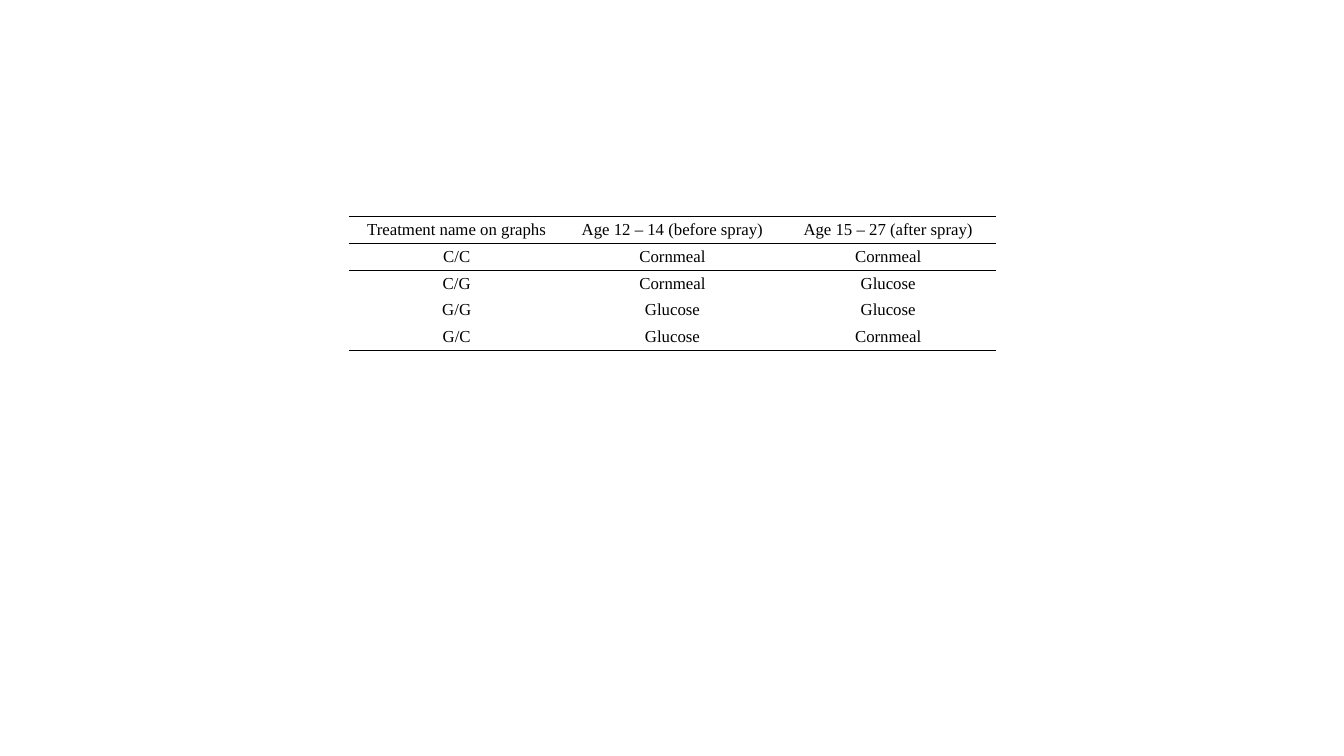
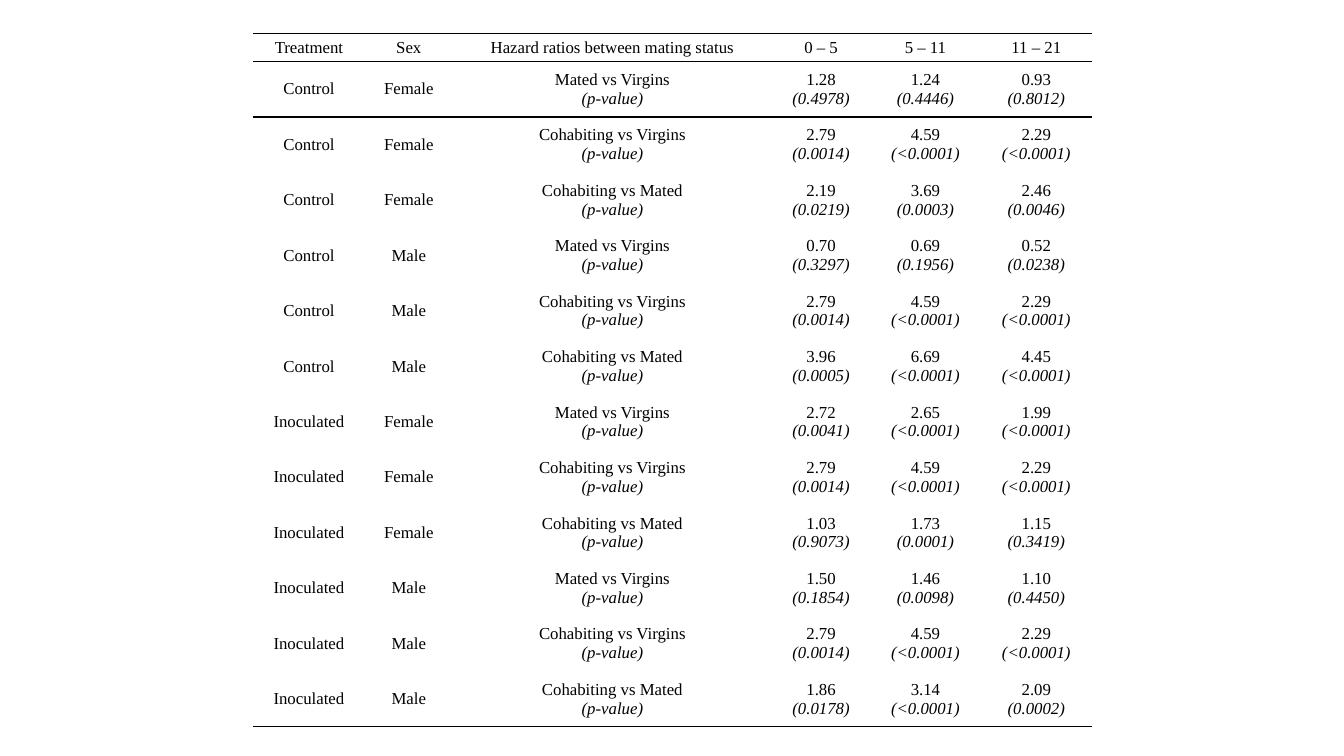
from lxml import etree
from pptx import Presentation
from pptx.dml.color import RGBColor
from pptx.enum import text
from pptx.oxml import ns
from pptx.util import Inches, Pt

COLORS = {"ink": "000000"}
FONT = "Times New Roman"
TEXT_SIZE = Pt(12)
RULE_WIDTH = Pt(1)
NO_STYLE = "{2D5ABB26-0587-4C30-8999-92F81FD0307C}"

DIETS = [
    ("Treatment name on graphs", "Age 12 – 14 (before spray)", "Age 15 – 27 (after spray)"),
    ("C/C", "Cornmeal", "Cornmeal"),
    ("C/G", "Cornmeal", "Glucose"),
    ("G/G", "Glucose", "Glucose"),
    ("G/C", "Glucose", "Cornmeal"),
]

HAZARD_HEADER = ("Treatment", "Sex", "Hazard ratios between mating status",
                 "0 – 5", "5 – 11", "11 – 21")
COMPARISONS = ("Mated vs Virgins", "Cohabiting vs Virgins", "Cohabiting vs Mated")
HAZARDS = {
    ("Control", "Female"): [
        [("1.28", "0.4978"), ("1.24", "0.4446"), ("0.93", "0.8012")],
        [("2.79", "0.0014"), ("4.59", "<0.0001"), ("2.29", "<0.0001")],
        [("2.19", "0.0219"), ("3.69", "0.0003"), ("2.46", "0.0046")],
    ],
    ("Control", "Male"): [
        [("0.70", "0.3297"), ("0.69", "0.1956"), ("0.52", "0.0238")],
        [("2.79", "0.0014"), ("4.59", "<0.0001"), ("2.29", "<0.0001")],
        [("3.96", "0.0005"), ("6.69", "<0.0001"), ("4.45", "<0.0001")],
    ],
    ("Inoculated", "Female"): [
        [("2.72", "0.0041"), ("2.65", "<0.0001"), ("1.99", "<0.0001")],
        [("2.79", "0.0014"), ("4.59", "<0.0001"), ("2.29", "<0.0001")],
        [("1.03", "0.9073"), ("1.73", "0.0001"), ("1.15", "0.3419")],
    ],
    ("Inoculated", "Male"): [
        [("1.50", "0.1854"), ("1.46", "0.0098"), ("1.10", "0.4450")],
        [("2.79", "0.0014"), ("4.59", "<0.0001"), ("2.29", "<0.0001")],
        [("1.86", "0.0178"), ("3.14", "<0.0001"), ("2.09", "0.0002")],
    ],
}


def hazard_rows():
    rows = [HAZARD_HEADER]
    for group, results in HAZARDS.items():
        for comparison, ratios in zip(COMPARISONS, results):
            pairs = [(comparison, "p-value"), *ratios]
            rows.append((*group, *(f"{top}\n({below})" for top, below in pairs)))
    return rows


def rule_cell(cell, sides):
    props = cell._tc.get_or_add_tcPr()
    for position, side in enumerate(sides):
        line = etree.Element(ns.qn(f"a:ln{side}"), w=str(RULE_WIDTH))
        fill = etree.SubElement(line, ns.qn("a:solidFill"))
        etree.SubElement(fill, ns.qn("a:srgbClr"), val=COLORS["ink"])
        props.insert(position, line)


def fill_cell(cell, content, inset_x, inset_y):
    cell.fill.background()
    cell.vertical_anchor = text.MSO_ANCHOR.MIDDLE
    cell.margin_left = cell.margin_right = Inches(inset_x)
    cell.margin_top = cell.margin_bottom = Inches(inset_y)
    cell.text_frame.text = content
    for number, paragraph in enumerate(cell.text_frame.paragraphs):
        paragraph.alignment = text.PP_ALIGN.CENTER
        font = paragraph.runs[0].font
        font.name, font.size = FONT, TEXT_SIZE
        font.italic = number > 0
        font.color.rgb = RGBColor.from_string(COLORS["ink"])


def add_ruled_table(deck, rows, left, top, widths, heights, insets):
    slide = deck.slides.add_slide(deck.slide_layouts[6])
    table = slide.shapes.add_table(
        len(rows), len(widths), Inches(left), Inches(top),
        Inches(sum(widths)), Inches(sum(heights))).table
    table.first_row = table.horz_banding = False
    table._tbl.tblPr.find(ns.qn("a:tableStyleId")).text = NO_STYLE
    for column, width in zip(table.columns, widths):
        column.width = Inches(width)
    rules = {0: "TB", 1: "T", len(rows) - 1: "B"}
    for r, (row, height) in enumerate(zip(rows, heights)):
        table.rows[r].height = Inches(height)
        for c, content in enumerate(row):
            cell = table.cell(r, c)
            fill_cell(cell, content, *insets)
            rule_cell(cell, rules.get(r, ""))


def main():
    deck = Presentation()
    deck.slide_width, deck.slide_height = Inches(13.33), Inches(7.5)
    add_ruled_table(deck, DIETS, 3.46, 2.15, [2.14] * 3,
                    [0.26] * len(DIETS), (0.08, 0.04))
    hazards = hazard_rows()
    add_ruled_table(deck, hazards, 2.51, 0.33, [1.11, 0.87, 3.17, 0.97, 1.1, 1.1],
                    [0.28] + [0.55] * (len(hazards) - 1), (0.05, 0.02))
    deck.save("out.pptx")


if __name__ == "__main__":
    main()
